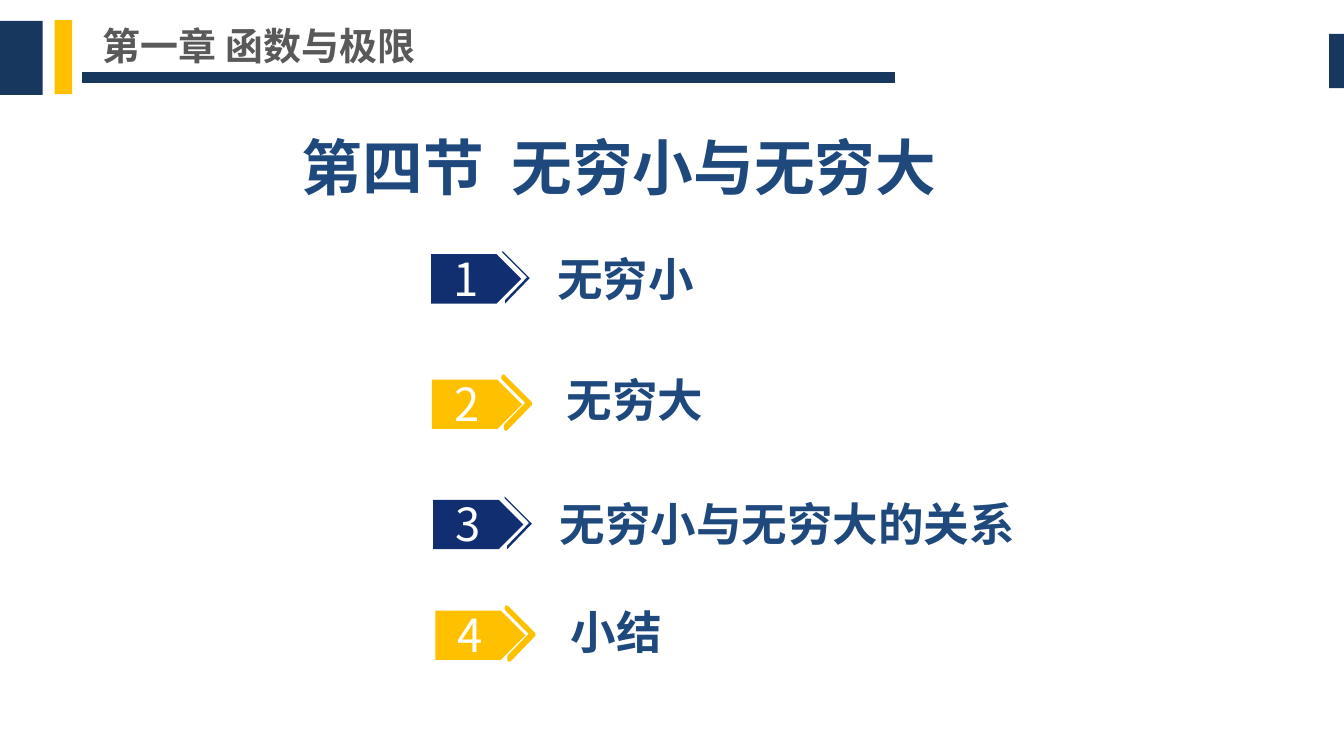
import pptx
import pptx.dml.color
import pptx.enum.shapes
import pptx.enum.text
import pptx.oxml.ns
import pptx.util
from lxml import etree

Pt = pptx.util.Pt
RGBColor = pptx.dml.color.RGBColor
SHAPES = pptx.enum.shapes.MSO_SHAPE
ALIGN = pptx.enum.text.PP_ALIGN
ANCHOR = pptx.enum.text.MSO_ANCHOR
qn = pptx.oxml.ns.qn

FONT = "Noto Sans CJK SC"
BAR_BLUE = RGBColor(0x17, 0x37, 0x5E)
TEXT_BLUE = RGBColor(0x1F, 0x49, 0x7D)
ARROW_BLUE = RGBColor(0x11, 0x2F, 0x70)
YELLOW = RGBColor(0xFF, 0xC0, 0x00)
GREY = RGBColor(0x59, 0x59, 0x59)
WHITE = RGBColor(0xFF, 0xFF, 0xFF)

# Chevron corners, measured from its top left corner
CHEVRON = [(0, 0), (14.4, 14.4), (1.4, 27.8), (1.4, 26), (13, 14), (0, 1)]

# Label, arrow left and top, label left, top and width, arrow colour
TOPICS = [
    ("无穷小", 227.3, 133.9, 286.6, 128.9, 86.4, ARROW_BLUE),
    ("无穷大", 227.7, 200, 291.6, 192.2, 86.4, YELLOW),
    ("无穷小与无穷大的关系", 228.4, 263.3, 288, 257.8, 254.2, ARROW_BLUE),
    ("小结", 229.5, 321.7, 293.8, 314.6, 62.6, YELLOW),
]


def add_block(page, kind, left, top, width, height, color):
    block = page.shapes.add_shape(kind, Pt(left), Pt(top), Pt(width), Pt(height))
    block.shadow.inherit = False
    block.fill.solid()
    block.fill.fore_color.rgb = color
    block.line.fill.background()


def add_text(page, text, left, top, width, height, size, color, bold=True, wrap=True):
    box = page.shapes.add_textbox(Pt(left), Pt(top), Pt(width), Pt(height))
    frame = box.text_frame
    frame.text = text
    frame.word_wrap = wrap
    span = frame.paragraphs[0].runs[0]
    span.font.name = FONT
    span.font.size = Pt(size)
    span.font.bold = bold
    span.font.color.rgb = color
    # East Asian glyphs take their own typeface entry
    latin = span.font._element.find(qn("a:latin"))
    east_asian = etree.Element(qn("a:ea"), typeface=FONT)
    latin.addnext(east_asian)
    return frame


def add_rule(page, left, right, y, color, weight):
    rule = page.shapes.add_connector(
        pptx.enum.shapes.MSO_CONNECTOR.STRAIGHT, Pt(left), Pt(y), Pt(right), Pt(y))
    rule.line.color.rgb = color
    rule.line.width = Pt(weight)
    etree.SubElement(rule._element.spPr, qn("a:effectLst"))


def add_chevron(page, left, top, color):
    corners = [(Pt(left + x), Pt(top + y)) for x, y in CHEVRON]
    builder = page.shapes.build_freeform(*corners[0])
    builder.add_line_segments(corners[1:], close=True)
    chevron = builder.convert_to_shape()
    chevron.shadow.inherit = False
    chevron.fill.solid()
    chevron.fill.fore_color.rgb = ARROW_BLUE
    if color == YELLOW:
        chevron.line.color.rgb = YELLOW
        chevron.line.width = Pt(2)
    else:
        chevron.line.fill.background()


def add_topic(page, number, label, left, top, label_left, label_top, label_width, color):
    add_text(page, label, label_left, label_top, label_width, 36, 24, TEXT_BLUE, wrap=False)
    add_chevron(page, left + 37.6, top - 1.8, color)
    add_block(page, SHAPES.PENTAGON, left, top, 47.5, 26, color)
    add_text(page, str(number), left + 4.7, top - 5.3, 41, 36, 24, WHITE, bold=False)


def add_header(page):
    add_block(page, SHAPES.RECTANGLE, -0.7, 11, 23.2, 39, BAR_BLUE)
    add_block(page, SHAPES.RECTANGLE, 28.8, 10.6, 9.2, 39, YELLOW)
    add_block(page, SHAPES.RECTANGLE, 700.7, 17.8, 11, 28.6, BAR_BLUE)
    add_rule(page, 43.2, 471.6, 40.8, BAR_BLUE, 6)
    frame = add_text(page, "第一章 函数与极限", 54, 11.5, 450, 24.5, 20, GREY)
    frame.margin_left = frame.margin_right = frame.margin_top = frame.margin_bottom = 0
    frame.vertical_anchor = ANCHOR.MIDDLE


def main():
    deck = pptx.Presentation()
    deck.slide_width = Pt(708.5)
    deck.slide_height = Pt(396.7)
    page = deck.slides.add_slide(deck.slide_layouts[6])

    # Header band
    add_header(page)

    # Section title
    title = add_text(page, "第四节  无穷小与无穷大", 72, 64.8, 509, 49, 32, TEXT_BLUE)
    title.paragraphs[0].alignment = ALIGN.CENTER

    # Numbered topics
    for number, topic in enumerate(TOPICS, start=1):
        add_topic(page, number, *topic)

    deck.save("out.pptx")


if __name__ == "__main__":
    main()
